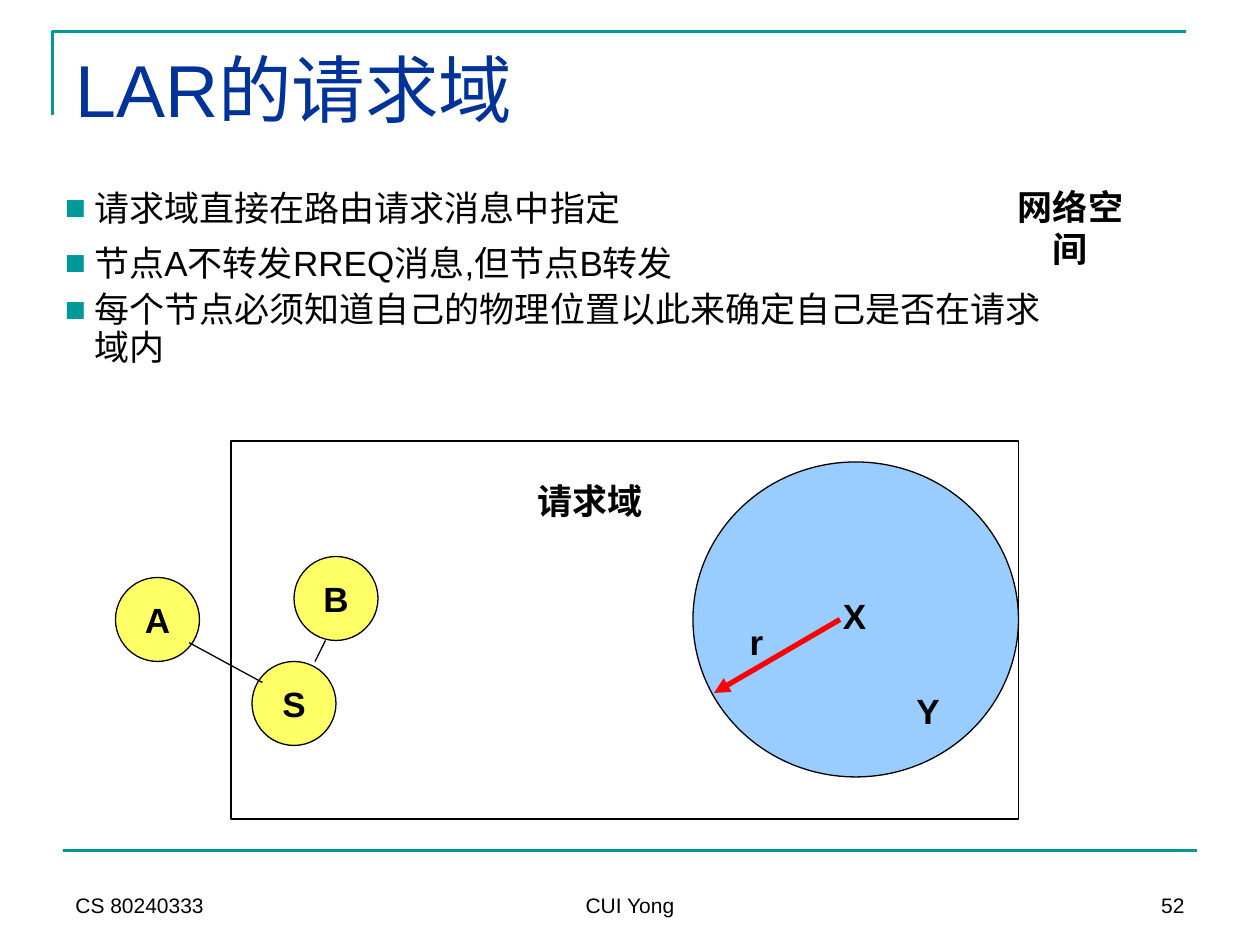
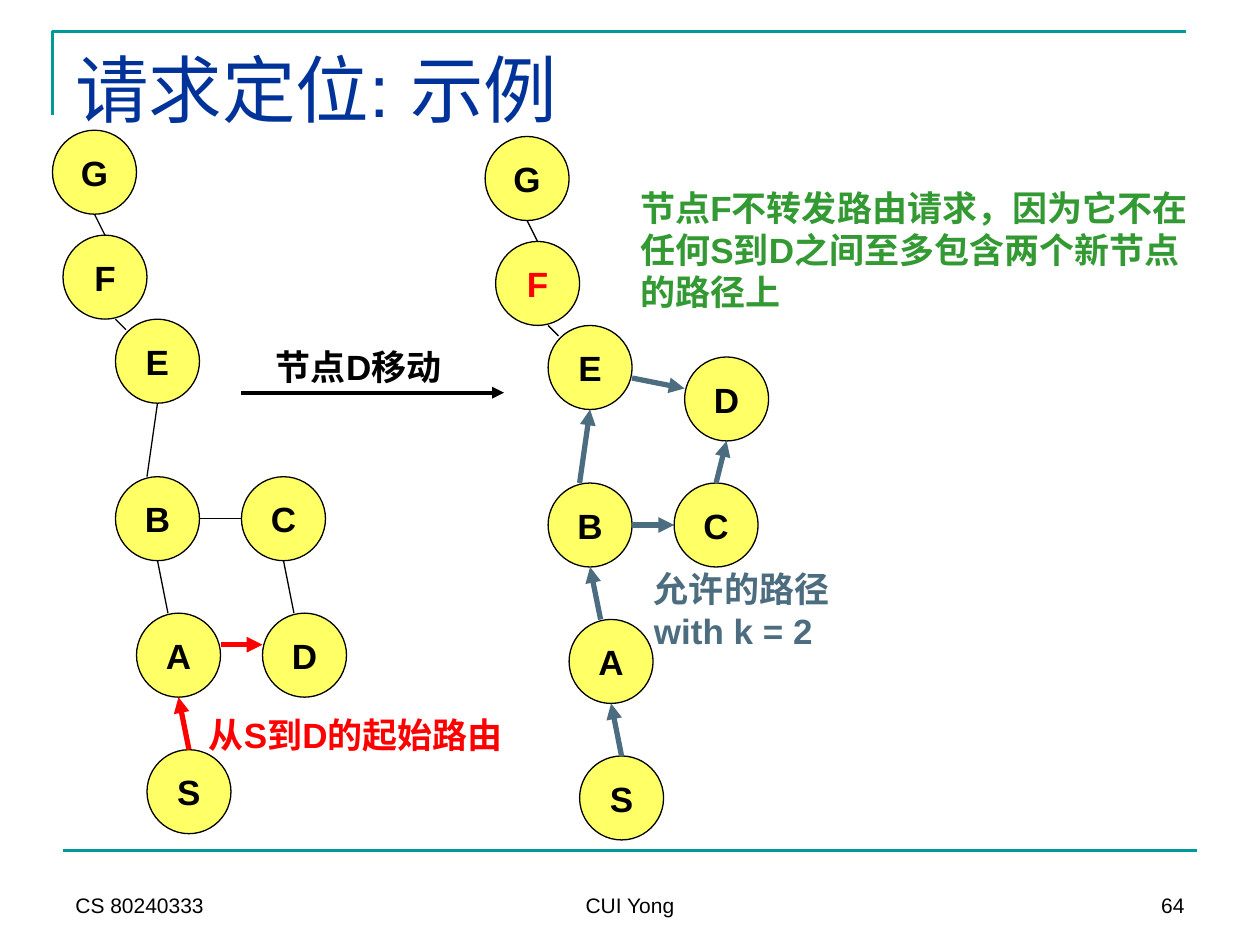
from dataclasses import dataclass
from typing import NamedTuple

from lxml.etree import SubElement
from pptx import Presentation
from pptx.dml.color import RGBColor
from pptx.enum.shapes import MSO_CONNECTOR as Connector, MSO_SHAPE as Preset
from pptx.enum.text import MSO_ANCHOR as Anchor, MSO_AUTO_SIZE as AutoSize, PP_ALIGN as Align
from pptx.oxml.ns import qn
from pptx.shapes.autoshape import Shape
from pptx.slide import Slide
from pptx.text.text import TextFrame, _Paragraph as Paragraph
from pptx.util import Pt

PX = 7620
SLIDE_WIDTH, SLIDE_HEIGHT = 1200, 900
FONT = "Arial"
NODE_SIZE = 80

BLACK = RGBColor(0x00, 0x00, 0x00)
TEAL = RGBColor(0x00, 0x99, 0x99)
NAVY = RGBColor(0x00, 0x33, 0x99)
YELLOW = RGBColor(0xFF, 0xFF, 0x66)
SKY = RGBColor(0x99, 0xCC, 0xFF)
RED = RGBColor(0xFF, 0x00, 0x00)
SLATE = RGBColor(0x4C, 0x6D, 0x80)
GREEN = RGBColor(0x33, 0x99, 0x33)


class Box(NamedTuple):
    left: int
    top: int
    width: int
    height: int


class Stroke(NamedTuple):
    color: RGBColor = BLACK
    width: float = 0.75
    arrow: bool = False


@dataclass(frozen=True)
class Node:
    name: str
    left: int
    top: int
    color: RGBColor = BLACK


@dataclass(frozen=True)
class Link:
    start: tuple[int, int]
    end: tuple[int, int]
    stroke: Stroke = Stroke()


@dataclass(frozen=True)
class Label:
    text: str
    box: Box
    color: RGBColor = BLACK
    align: Align = Align.LEFT


@dataclass(frozen=True)
class Bullet:
    text: str
    line_spacing: float
    space_before: int = 0


THIN = Stroke()
RULE = Stroke(TEAL, 1.5)
RED_ARROW = Stroke(RED, 3, True)
SLATE_ARROW = Stroke(SLATE, 3, True)
MOVE_ARROW = Stroke(BLACK, 2.25, True)

FOOTERS = (
    (Box(60, 820, 280, 60), Align.LEFT),
    (Box(410, 820, 380, 60), Align.CENTER),
    (Box(860, 820, 280, 60), Align.RIGHT),
)

BULLETS = (
    Bullet("请求域直接在路由请求消息中指定", 1.3),
    Bullet("节点A不转发RREQ消息,但节点B转发", 1.3),
    Bullet("每个节点必须知道自己的物理位置以此来确定自己是否在请求域内", 0.9, 5),
)

ZONE_NODES = (Node("S", 240, 630), Node("B", 280, 530), Node("A", 110, 550))
ZONE_LINKS = (
    Link((800, 590), (680, 660), RED_ARROW),
    Link((180, 612), (250, 650)),
    Link((310, 610), (300, 630)),
)
ZONE_LABELS = (
    Label("X", Box(791, 560, 45, 53), align=Align.CENTER),
    Label("Y", Box(861, 650, 45, 53), align=Align.CENTER),
    Label("r", Box(702, 584, 37, 53), align=Align.CENTER),
    Label("请求域", Box(500, 450, 124, 53), align=Align.CENTER),
    Label("网络空间", Box(941, 190, 157, 53), align=Align.CENTER),
)

FIXED_NODES = (
    Node("B", 110, 454),
    Node("E", 110, 304),
    Node("A", 130, 584),
    Node("S", 140, 714),
    Node("C", 230, 454),
    Node("G", 50, 124),
)
FIXED_LINKS = (Link((90, 204), (100, 224)), Link((110, 304), (120, 314)))
S_TO_A = ((180, 714), (170, 664))
A_TO_B = ((160, 584), (150, 534))
B_TO_E = ((140, 454), (150, 384))
B_TO_C = ((190, 494), (230, 494))

BEFORE_NODES = (*FIXED_NODES, Node("F", 60, 224), Node("D", 250, 584))
BEFORE_LINKS = (
    *FIXED_LINKS,
    *(Link(*ends) for ends in (A_TO_B, B_TO_E, B_TO_C)),
    Link((270, 534), (280, 584)),
    Link(*S_TO_A, RED_ARROW),
    Link((210, 614), (250, 614), RED_ARROW),
)
AFTER_NODES = (*FIXED_NODES, Node("F", 60, 224, RED), Node("D", 240, 334))
AFTER_LINKS = (
    *FIXED_LINKS,
    *(
        Link(*ends, SLATE_ARROW)
        for ends in (
            S_TO_A, A_TO_B, B_TO_E, B_TO_C,
            ((190, 354), (240, 364)),
            ((270, 454), (280, 414)),
        )
    ),
)
AFTER_SHIFT = (412, 6)

ROUTE_LABELS = (
    Label("从S到D的起始路由", Box(187, 673, 352, 53), RED),
    Label("允许的路径\nwith k = 2", Box(611, 534, 191, 92), SLATE),
    Label(
        "节点F不转发路由请求，因为它不在\n任何S到D之间至多包含两个新节点\n的路径上",
        Box(598, 172, 570, 132),
        GREEN,
    ),
    Label("节点D移动", Box(251, 323, 198, 53)),
)


def emu(box: Box) -> list[int]:
    return [length * PX for length in box]


def write(
    frame: TextFrame,
    text: str,
    *,
    size: int = 20,
    color: RGBColor = BLACK,
    bold: bool = False,
    align: Align = Align.LEFT,
    anchor: Anchor = Anchor.TOP,
    wrap: bool = True,
    grow: bool = False,
) -> None:
    frame.word_wrap = wrap
    frame.auto_size = AutoSize.SHAPE_TO_FIT_TEXT if grow else AutoSize.NONE
    frame.vertical_anchor = anchor
    frame.text = text
    for paragraph in frame.paragraphs:
        paragraph.alignment = align
        for run in paragraph.runs:
            run.font.name = FONT
            run.font.size = Pt(size)
            run.font.bold = bold
            run.font.color.rgb = color


def text_box(slide: Slide, box: Box) -> TextFrame:
    return slide.shapes.add_textbox(*emu(box)).text_frame


def outlined(slide: Slide, preset: Preset, box: Box, fill: RGBColor | None = None) -> Shape:
    shape = slide.shapes.add_shape(preset, *emu(box))
    shape.shadow.inherit = False
    if fill is None:
        shape.fill.background()
    else:
        shape.fill.solid()
        shape.fill.fore_color.rgb = fill
    shape.line.color.rgb = THIN.color
    shape.line.width = Pt(THIN.width)
    return shape


def draw_link(slide: Slide, link: Link, shift: tuple[int, int] = (0, 0)) -> None:
    dx, dy = shift
    points = [((x + dx) * PX, (y + dy) * PX) for x, y in (link.start, link.end)]
    line = slide.shapes.add_connector(Connector.STRAIGHT, *points[0], *points[1])
    line.line.color.rgb = link.stroke.color
    line.line.width = Pt(link.stroke.width)
    properties = line._element.spPr
    if link.stroke.arrow:
        SubElement(properties.find(qn("a:ln")), qn("a:tailEnd"), type="triangle")
    SubElement(properties, qn("a:effectLst"))


def draw_node(slide: Slide, node: Node, shift: tuple[int, int] = (0, 0)) -> None:
    box = Box(node.left + shift[0], node.top + shift[1], NODE_SIZE, NODE_SIZE)
    circle = outlined(slide, Preset.OVAL, box, YELLOW)
    write(circle.text_frame, node.name, color=node.color, bold=True,
          align=Align.CENTER, anchor=Anchor.MIDDLE, wrap=False)


def draw_label(slide: Slide, label: Label) -> None:
    write(text_box(slide, label.box), label.text, color=label.color, bold=True,
          align=label.align, anchor=Anchor.MIDDLE, wrap=False, grow=True)


def draw_graph(
    slide: Slide,
    nodes: tuple[Node, ...],
    links: tuple[Link, ...],
    shift: tuple[int, int] = (0, 0),
) -> None:
    for node in nodes:
        draw_node(slide, node, shift)
    for link in links:
        draw_link(slide, link, shift)


def add_bullet(paragraph: Paragraph, bullet: Bullet) -> None:
    paragraph.line_spacing = bullet.line_spacing
    paragraph.space_before = Pt(bullet.space_before)
    properties = paragraph._p.get_or_add_pPr()
    properties.set("marL", str(28 * PX))
    properties.set("indent", str(-28 * PX))
    SubElement(SubElement(properties, qn("a:buClr")), qn("a:srgbClr"), val=str(TEAL))
    SubElement(properties, qn("a:buFont"), typeface=FONT)
    SubElement(properties, qn("a:buChar"), char="■")


def start_slide(deck: Presentation, title: str, number: int) -> Slide:
    slide = deck.slides.add_slide(deck.slide_layouts[6])
    builder = slide.shapes.build_freeform(50, 110, scale=PX)
    builder.add_line_segments([(50, 30), (1130, 30)], close=False)
    corner = builder.convert_to_shape()
    corner.shadow.inherit = False
    corner.fill.background()
    corner.line.color.rgb = RULE.color
    corner.line.width = Pt(RULE.width)
    draw_link(slide, Link((60, 810), (1140, 810), RULE))
    write(text_box(slide, Box(60, 36, 1080, 150)), title, size=42, color=NAVY)
    for text, (box, align) in zip(("CS 80240333", "CUI Yong", str(number)), FOOTERS):
        write(text_box(slide, box), text, size=12, align=align, anchor=Anchor.BOTTOM)
    return slide


def build_request_zone(deck: Presentation) -> None:
    slide = start_slide(deck, "LAR的请求域", 52)
    outlined(slide, Preset.OVAL, Box(660, 440, 310, 300), SKY)
    outlined(slide, Preset.RECTANGLE, Box(220, 420, 750, 360))
    draw_graph(slide, ZONE_NODES, ZONE_LINKS)
    for label in ZONE_LABELS:
        draw_label(slide, label)
    points = text_box(slide, Box(50, 160, 980, 248))
    write(points, "\n".join(bullet.text for bullet in BULLETS))
    for paragraph, bullet in zip(points.paragraphs, BULLETS):
        add_bullet(paragraph, bullet)


def build_route_example(deck: Presentation) -> None:
    slide = start_slide(deck, "请求定位: 示例", 64)
    draw_graph(slide, BEFORE_NODES, BEFORE_LINKS)
    draw_graph(slide, AFTER_NODES, AFTER_LINKS, AFTER_SHIFT)
    draw_link(slide, Link((230, 374), (480, 374), MOVE_ARROW))
    for label in ROUTE_LABELS:
        draw_label(slide, label)


def main() -> None:
    deck = Presentation()
    deck.slide_width = SLIDE_WIDTH * PX
    deck.slide_height = SLIDE_HEIGHT * PX
    build_request_zone(deck)
    build_route_example(deck)
    deck.save("out.pptx")


if __name__ == "__main__":
    main()
